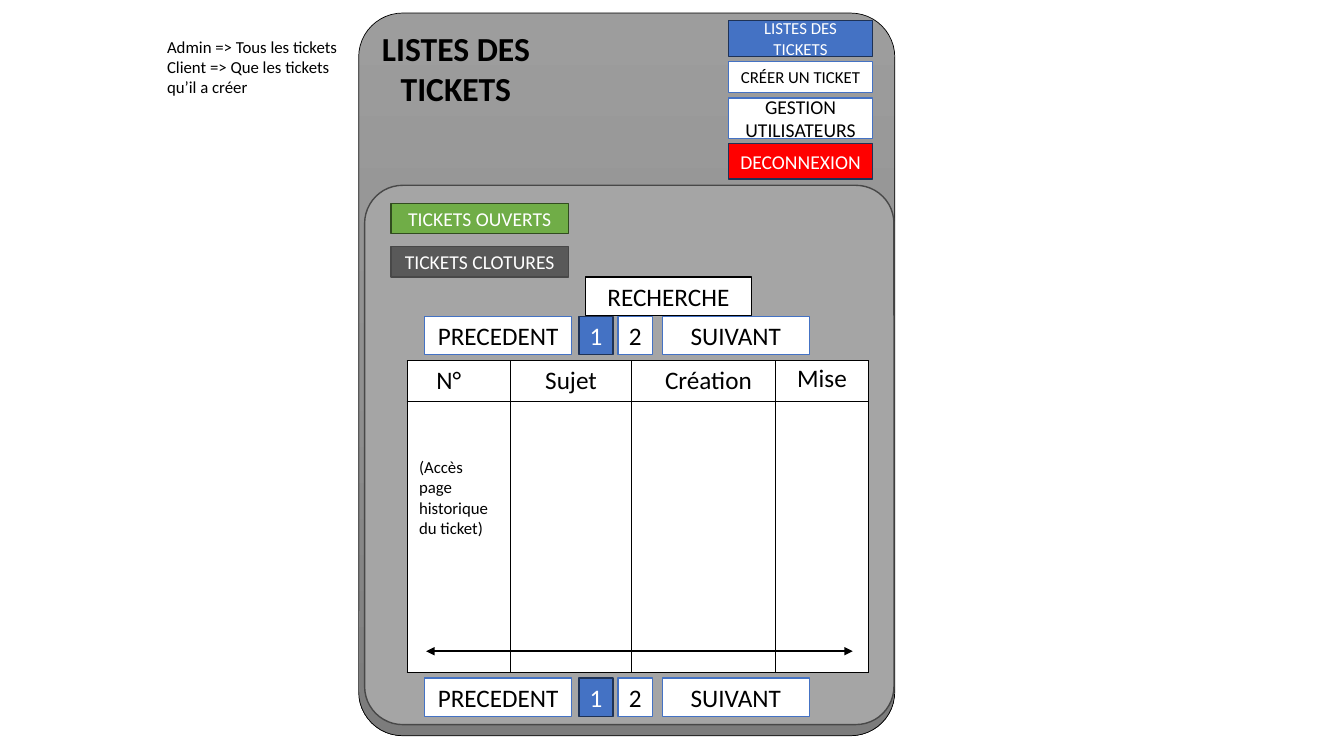
from copy import deepcopy
from itertools import product
from lxml import etree
from pptx import Presentation
from pptx import util as u
from pptx.dml import color
from pptx.enum import shapes, text
from pptx.oxml import ns

BLUE, NAVY, WHITE, BLACK = "4472C4", "1E3256", "FFFFFF", "000000"
PLAIN = (WHITE, BLUE, BLACK)
ACTIVE = (BLUE, NAVY, WHITE)
RECT = shapes.MSO_SHAPE.RECTANGLE
ROUND = shapes.MSO_SHAPE.ROUNDED_RECTANGLE
MID = text.MSO_ANCHOR.MIDDLE
MID_PAR = text.PP_ALIGN.CENTER


def rgb(hex):
    return color.RGBColor.from_string(hex)


def apply(item, form):
    for name, value in form.items():
        setattr(item, name, value)


def place(box, x, y, w, h):
    return box[0] + x, box[1] + y, w, h


def cm(box):
    return [u.Cm(n) for n in box]


def write(frame, words, size, ink=BLACK, bold=False, align=None):
    frame.text = words
    for par in frame.paragraphs:
        par.alignment = align
        for run in par.runs:
            apply(run.font, {"name": "Calibri", "size": u.Pt(size), "bold": bold})
            run.font.color.rgb = rgb(ink)


def label(slide, box, words, size, bold=False, align=None, anchor=None):
    frame = slide.shapes.add_textbox(*cm(box)).text_frame
    apply(frame, {"word_wrap": True, "vertical_anchor": anchor})
    write(frame, words, size, BLACK, bold, align)


def block(slide, box, fill, edge, width=1, kind=RECT):
    shape = slide.shapes.add_shape(kind, *cm(box))
    shape.shadow.inherit = False
    shape.fill.solid()
    shape.fill.fore_color.rgb = rgb(fill)
    shape.line.color.rgb = rgb(edge)
    shape.line.width = u.Pt(width)
    return shape


def button(slide, box, words, size, look):
    fill, edge, ink = look
    frame = block(slide, box, fill, edge).text_frame
    apply(frame, {"word_wrap": True, "vertical_anchor": MID})
    write(frame, words, size, ink, align=MID_PAR)


def shade(shape, tones):
    shape.fill.gradient()
    shape.fill.gradient_angle = 270
    first = shape._element.spPr.find(".//" + ns.qn("a:gs"))
    first.addnext(deepcopy(first))
    for stop, (pos, tone) in zip(shape.fill.gradient_stops, tones):
        stop.position = pos
        stop.color.rgb = rgb(tone)


def header(slide, box):
    frame = block(slide, box, "909090", BLACK, 0.5, ROUND)
    frame.adjustments[0] = 0.082
    shade(frame, [(0, "9D9D9D"), (0.5, "909090"), (1, "7C7C7C")])
    label(slide, place(box, 0.28, 0.23, 4.34, 2.31), "LISTES DES TICKETS",
          24, True, MID_PAR, MID)
    menu = [
        ("LISTES DES TICKETS", 0.91, 12, ACTIVE),
        ("CRÉER UN TICKET", 0.79, 12, PLAIN),
        ("GESTION UTILISATEURS", 1.02, 14, PLAIN),
        ("DECONNEXION", 0.89, 14, ("FF0000", NAVY, WHITE)),
    ]
    y = 0.18
    for words, high, size, look in menu:
        button(slide, place(box, 9.32, y, 3.63, high), words, size, look)
        y += high + 0.13


def pager(slide, box):
    parts = [
        ("PRECEDENT", 0, 3.71, PLAIN),
        ("1", 3.89, 0.86, ACTIVE),
        ("2", 4.88, 0.86, PLAIN),
        ("SUIVANT", 5.99, 3.71, PLAIN),
    ]
    for words, x, wide, look in parts:
        button(slide, place(box, x, 0, wide, box[3]), words, 18, look)


def border(cell, side, width):
    edge = etree.SubElement(cell._tc.get_or_add_tcPr(), ns.qn("a:ln" + side),
                            w=str(u.Pt(width)))
    fill = etree.SubElement(edge, ns.qn("a:solidFill"))
    etree.SubElement(fill, ns.qn("a:srgbClr"), val=BLACK)


def grid(slide, box):
    cols = [("N°", 2.59, 0.74), ("Sujet", 3.07, 0.89),
            ("Création", 3.61, 0.84), ("Mise", 2.36, 0.56)]
    table = slide.shapes.add_table(2, len(cols), *cm(box)).table
    apply(table, {"first_row": False, "horz_banding": False})
    for row, high in zip(table.rows, (1.02, box[3] - 1.02)):
        row.height = u.Cm(high)
    last = len(cols) - 1
    for r, c in product(range(2), range(len(cols))):
        cell = table.cell(r, c)
        outer = {"L": c == 0, "R": c == last, "T": r == 0, "B": r == 1}
        for side, thick in outer.items():
            border(cell, side, 1 if thick else 0.5)
        cell.fill.solid()
        cell.fill.fore_color.rgb = rgb(WHITE)
    for c, (words, wide, left) in enumerate(cols):
        table.columns[c].width = u.Cm(wide)
        cell = table.cell(0, c)
        apply(cell, {"margin_left": u.Cm(left), "margin_right": 0,
                     "margin_top": u.Cm(0.08 if c == last else 0.13),
                     "margin_bottom": 0})
        write(cell.text_frame, words, 18)
    cell = table.cell(1, 0)
    apply(cell, {"margin_left": u.Cm(0.3), "margin_right": u.Cm(0.4),
                 "margin_top": u.Cm(1.42)})
    write(cell.text_frame, "(Accès page historique du ticket)", 12)


def arrow(slide, box):
    x, y, wide, high = box
    line = slide.shapes.add_connector(shapes.MSO_CONNECTOR.STRAIGHT,
                                      *cm((x, y, x + wide, y + high)))
    line.line.color.rgb = rgb(BLACK)
    line.line.width = u.Pt(1.5)
    for end in ("headEnd", "tailEnd"):
        etree.SubElement(line.line._get_or_add_ln(), ns.qn("a:" + end),
                         type="triangle")
    etree.SubElement(line._element.spPr, ns.qn("a:effectLst"))


def content(slide, box):
    block(slide, box, "A5A5A5", "484848", 1, ROUND).adjustments[0] = 0.072
    button(slide, place(box, 0.66, 0.46, 4.48, 0.76), "TICKETS OUVERTS", 14,
           ("70AD47", "314C1F", WHITE))
    button(slide, place(box, 0.66, 1.55, 4.48, 0.76), "TICKETS CLOTURES", 14,
           ("595959", "484848", WHITE))
    button(slide, place(box, 5.56, 2.31, 4.19, 0.97), "RECHERCHE", 18,
           (WHITE, BLACK, BLACK))
    for y in (3.3, 12.42):
        pager(slide, place(box, 1.51, y, 9.7, 0.97))
    area = place(box, 1.07, 4.42, 11.63, 7.85)
    grid(slide, area)
    arrow(slide, place(area, 0.48, 7.32, 10.75, 0))


def main():
    deck = Presentation()
    apply(deck, {"slide_width": u.Cm(33.87), "slide_height": u.Cm(19.05)})
    slide = deck.slides.add_slide(deck.slide_layouts[6])
    header(slide, (9.04, 0.33, 13.51, 18.21))
    label(slide, (3.96, 0.79, 5.16, 1.8),
          "Admin => Tous les tickets\vClient => Que les tickets qu’il a créer", 12)
    content(slide, (9.19, 4.67, 13.34, 13.59))
    deck.save("out.pptx")


if __name__ == "__main__":
    main()
